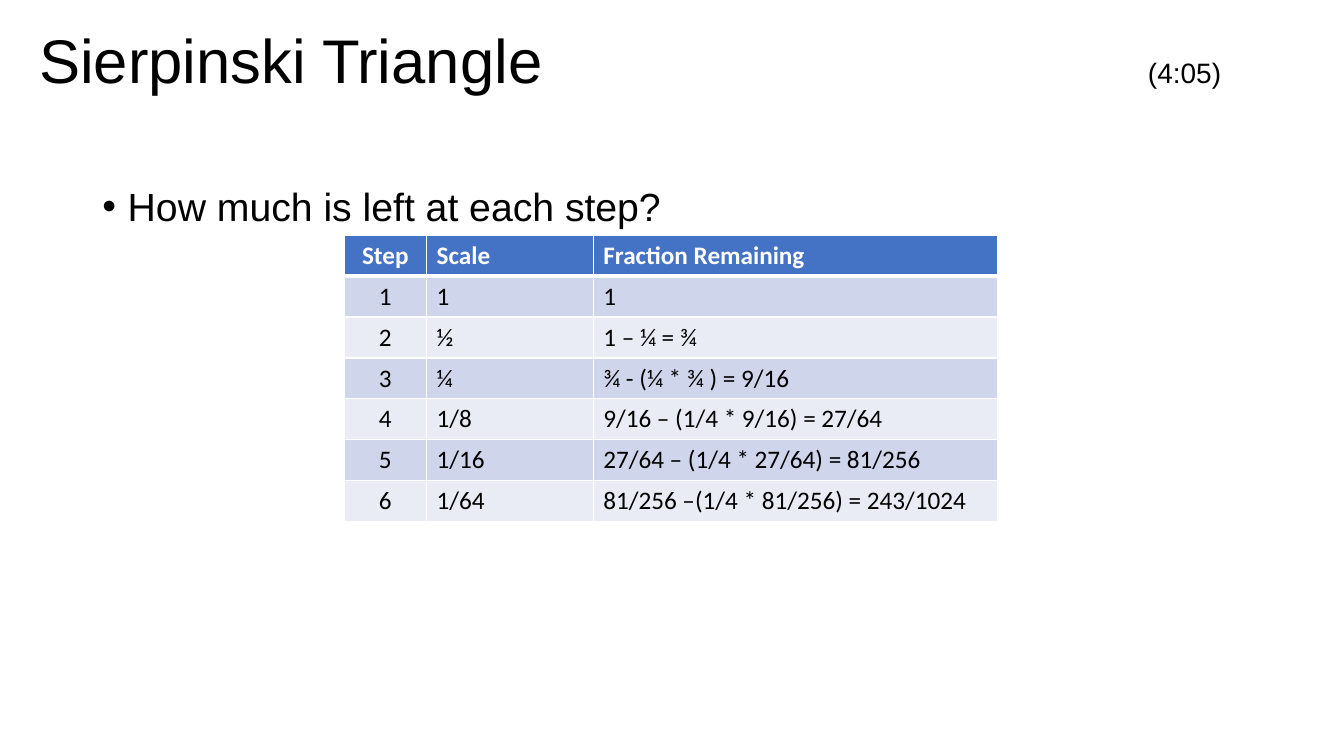
from lxml import etree
from pptx import Presentation
from pptx import util as u
from pptx.dml.color import RGBColor
from pptx.enum import text
from pptx.oxml import ns

COLORS = {"ink": "000000", "white": "FFFFFF", "header": "4472C4",
          "odd": "CFD5EA", "even": "E9EBF5"}
HEADINGS = ("Step", "Scale", "Fraction Remaining")
STEPS = [
    ("1", "1"),
    ("½", "1 – ¼ = ¾"),
    ("¼", "¾ - (¼ * ¾ ) = 9/16"),
    ("1/8", "9/16 – (1/4 * 9/16) = 27/64"),
    ("1/16", "27/64 – (1/4 * 27/64) = 81/256"),
    ("1/64", "81/256 –(1/4 * 81/256) = 243/1024"),
]
COLUMN_WIDTHS = (2.08, 4.2, 10.2)
ROW_HEIGHT = 1.03


def cm(lengths):
    return [u.Cm(length) for length in lengths]


def add_span(para, words, size, font="Arial", color="ink", bold=False):
    span = para.add_run()
    span.text = words
    span.font.name = font
    span.font.size = u.Pt(size)
    span.font.bold = bold
    span.font.color.rgb = RGBColor.from_string(COLORS[color])


def add_text_box(page, box, anchor):
    """Add a wrapping text box and return its first paragraph."""
    frame = page.shapes.add_textbox(*cm(box)).text_frame
    frame.word_wrap = True
    frame.vertical_anchor = anchor
    para = frame.paragraphs[0]
    para.line_spacing = 0.9
    return para


def add_title(page, box, title, time):
    para = add_text_box(page, box, text.MSO_ANCHOR.MIDDLE)
    stops = etree.SubElement(para._p.get_or_add_pPr(), ns.qn("a:tabLst"))
    etree.SubElement(stops, ns.qn("a:tab"), pos=str(u.Cm(27.94)), algn="l")
    add_span(para, title + "\t", 44)
    add_span(para, time, 20)


def add_question(page, box, question):
    para = add_text_box(page, box, text.MSO_ANCHOR.TOP)
    properties = para._p.get_or_add_pPr()
    indent = u.Cm(0.64)
    properties.set("marL", str(indent))
    properties.set("indent", str(-indent))
    etree.SubElement(properties, ns.qn("a:buFont"), typeface="Arial")
    etree.SubElement(properties, ns.qn("a:buChar"), char="•")
    add_span(para, question, 28)


def set_borders(cell, widths):
    """Draw white borders; widths are points for left, right, top, bottom."""
    properties = cell._tc.get_or_add_tcPr()
    for side, width in zip("LRTB", widths):
        line = etree.SubElement(properties, ns.qn(f"a:ln{side}"), w=str(u.Pt(width)))
        fill = etree.SubElement(line, ns.qn("a:solidFill"))
        etree.SubElement(fill, ns.qn("a:srgbClr"), val=COLORS["white"])


def add_step_table(page, left, top):
    rows = [HEADINGS] + [(str(i), *step) for i, step in enumerate(STEPS, 1)]
    size = (sum(COLUMN_WIDTHS), ROW_HEIGHT * len(rows))
    table = page.shapes.add_table(
        len(rows), len(HEADINGS), *cm((left, top, *size))).table
    for column, width in zip(table.columns, COLUMN_WIDTHS):
        column.width = u.Cm(width)
    for i, row in enumerate(rows):
        is_header = i == 0
        shade = "header" if is_header else "odd" if i % 2 else "even"
        for j, words in enumerate(row):
            cell = table.cell(i, j)
            set_borders(cell, (1, 1, 3 if i == 1 else 1, 3 if is_header else 1))
            cell.fill.solid()
            cell.fill.fore_color.rgb = RGBColor.from_string(COLORS[shade])
            para = cell.text_frame.paragraphs[0]
            if j == 0:
                para.alignment = text.PP_ALIGN.CENTER
            add_span(para, words, 18, "Calibri",
                     "white" if is_header else "ink", is_header)


def main():
    deck = Presentation()
    deck.slide_width, deck.slide_height = cm((33.87, 19.05))
    page = deck.slides.add_slide(deck.slide_layouts[6])
    add_title(page, (0.74, 0.05, 32.33, 3.12), "Sierpinski Triangle", "(4:05)")
    add_question(page, (2.33, 4.6, 29.21, 12.09), "How much is left at each step?")
    add_step_table(page, 8.67, 5.93)
    deck.save("out.pptx")


if __name__ == "__main__":
    main()
